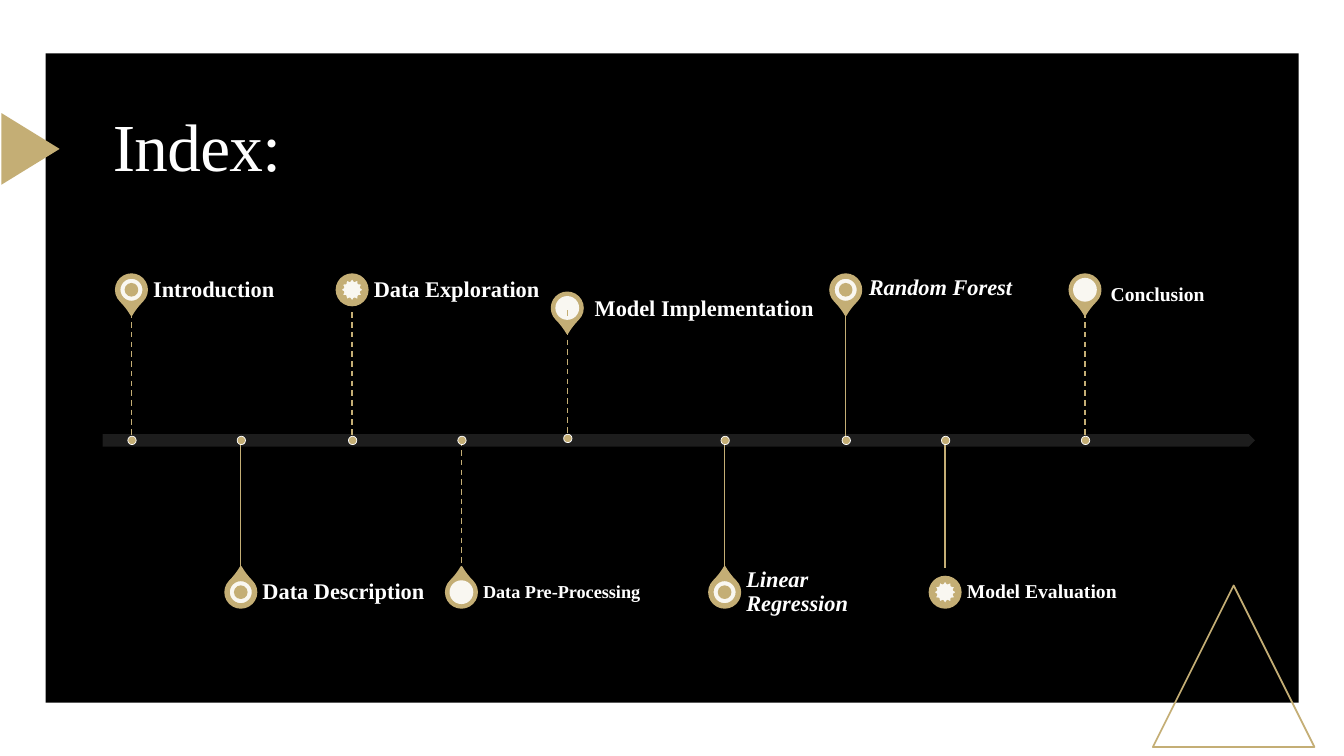
from dataclasses import dataclass
from lxml.etree import SubElement as Sub
from pptx import Presentation
from pptx.dml.color import RGBColor as Rgb
from pptx.enum.dml import MSO_LINE as Dash
from pptx.enum.shapes import MSO_CONNECTOR as Conn, MSO_SHAPE as Form
from pptx.enum.text import MSO_ANCHOR as Anchor, PP_ALIGN as Align
from pptx.oxml.ns import qn
from pptx.util import Pt

GOLD, WHITE, BLACK, GREY = "C4AE75", "FFFFFF", "000000", "212121"
AXIS, HIGH, LOW = 314.6, 207, 423
PIN, CORE, DOT = 22.3, 17, 6
DROP, DISC = Form.TEAR, Form.OVAL
RING, STAR = Form.DONUT, Form.STAR_12_POINT
STOPS = [
    dict(name="Introduction", x=93.9, core=RING, dash=True),
    dict(name="Data Description", x=172, core=RING, low=True),
    dict(name="Data Exploration", x=251.5, pin=DISC, core=STAR, dash=True),
    dict(name="Data Pre-Processing", x=329.6, core=DISC, dash=True, low=True,
         size=13, inset=6.5),
    dict(name="Model Implementation", x=405.2, core=DISC, dash=True, drop=13,
         rise=1.4, gap=19.6, mid=221, wide=186.5, tall=93.6),
    dict(name="Linear Regression", x=517.6, core=RING, low=True, italic=True),
    dict(name="Random Forest", x=604.1, core=RING, italic=True, gap=16.5, mid=205.6),
    dict(name="Model Evaluation", x=675.1, pin=DISC, core=STAR, low=True,
         size=14, inset=7.2),
    dict(name="Conclusion", x=775, core=DISC, dash=True, size=14, inset=7.2,
         gap=18.4, mid=202, wide=77.8, anchor=Anchor.BOTTOM),
]


def tint(part, code):
    part.rgb = Rgb.from_string(code)


def apply(part, style):
    for key, value in style.items():
        setattr(part, key, value)


@dataclass
class Board:
    slide: object
    face: str = "Times New Roman"
    ink: str = WHITE

    def shape(self, form, x, y, w, h, fill=None, line=None, width=1.25,
              turn=0, alpha=None):
        item = self.slide.shapes.add_shape(form, Pt(x), Pt(y), Pt(w), Pt(h))
        item.shadow.inherit = False
        item.rotation = turn
        if fill:
            item.fill.solid()
            tint(item.fill.fore_color, fill)
        else:
            item.fill.background()
        if alpha:
            shade = item.element.spPr.find(qn("a:solidFill"))[0]
            Sub(shade, qn("a:alpha")).set("val", str(alpha * 1000))
        if line:
            tint(item.line.color, line)
            item.line.width = Pt(width)
        else:
            item.line.fill.background()
        return item

    def badge(self, form, x, y, size, **style):
        return self.shape(form, x - size / 2, y - size / 2, size, size, **style)

    def stem(self, x, top, end, dash):
        item = self.slide.shapes.add_connector(Conn.STRAIGHT, Pt(x), Pt(top), Pt(x), Pt(end))
        tint(item.line.color, GOLD)
        item.line.width = Pt(1)
        if dash:
            item.line.dash_style = Dash.DASH
        Sub(item.element.spPr, qn("a:effectLst"))

    def words(self, frame, text, layout, **font):
        apply(frame, dict(word_wrap=True) | layout)
        para = frame.paragraphs[0]
        apply(para, dict(alignment=Align.LEFT, line_spacing=0.9))
        run = para.add_run()
        run.text = text
        apply(run.font, dict(name=self.face) | font)
        tint(run.font.color, self.ink)

    def label(self, text, x, y, w, h, inset, anchor, **font):
        box = self.slide.shapes.add_textbox(Pt(x), Pt(y), Pt(w), Pt(h))
        edges = dict(margin_left=0, margin_top=0, margin_bottom=0,
                     margin_right=Pt(inset), vertical_anchor=anchor)
        self.words(box.text_frame, text, edges, bold=True, **font)

    def title(self, text):
        item = self.slide.shapes.title
        apply(item, dict(left=Pt(73.4), top=Pt(70.6), width=Pt(823), height=Pt(72)))
        self.words(item.text_frame, text, dict(vertical_anchor=Anchor.MIDDLE), size=Pt(48))
        for props in item.element.iter(qn("a:rPr")):
            props.set("spc", "-50")
        self.slide.shapes.element.append(item.element)

    def stop(self, name, x, core, pin=DROP, dash=False, low=False, size=16,
             italic=False, drop=0, rise=0, gap=15.5, mid=None, wide=126.7,
             tall=32.4, inset=7.9, anchor=Anchor.MIDDLE):
        y = LOW if low else HIGH + drop
        axis = AXIS - rise
        head = self.badge(pin, x, y, PIN, fill=GOLD, line=GOLD, turn=315 if low else 135)
        if pin == DROP:
            head.adjustments[0] = 1.15
        self.badge(core, x, y, CORE, fill=WHITE, alpha=90,
                   line=None if core == DISC else GOLD)
        self.label(name, x + gap, (mid or y) - tall / 2, wide, tall, inset,
                   anchor, size=Pt(size), italic=italic)
        top = axis if low else axis - 91.4
        self.stem(x, top, top + 91.4, dash)
        self.badge(DISC, x + 0.4, axis, DOT, fill=GOLD, line=WHITE, width=0.5)


def main():
    deck = Presentation()
    apply(deck, dict(slide_width=Pt(960), slide_height=Pt(540)))
    board = Board(deck.slides.add_slide(deck.slide_layouts[5]))
    board.shape(Form.RECTANGLE, 32.6, 38.2, 895, 463.7, fill=BLACK)
    board.shape(Form.ISOSCELES_TRIANGLE, 823.5, 418.2, 115.4, 115.4, line=GOLD)
    board.shape(Form.ISOSCELES_TRIANGLE, -3.8, 85.6, 51.2, 41.6, fill=GOLD, turn=90)
    board.shape(Form.PENTAGON, 73.4, 310.2, 823, 8.8, fill=GREY, alpha=90)
    for stop in STOPS:
        board.stop(**stop)
    board.title("Index:")
    deck.save("out.pptx")


if __name__ == "__main__":
    main()
